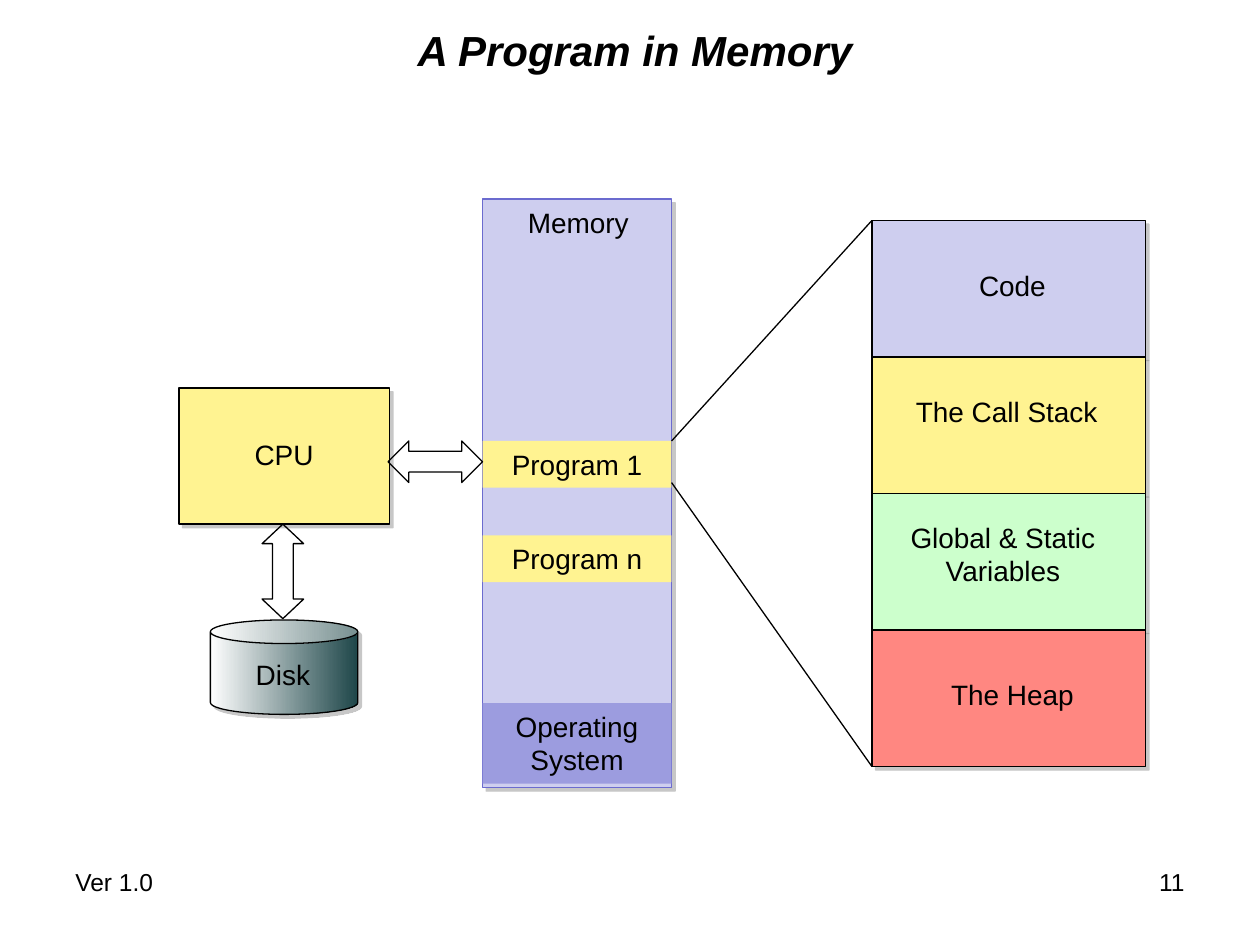
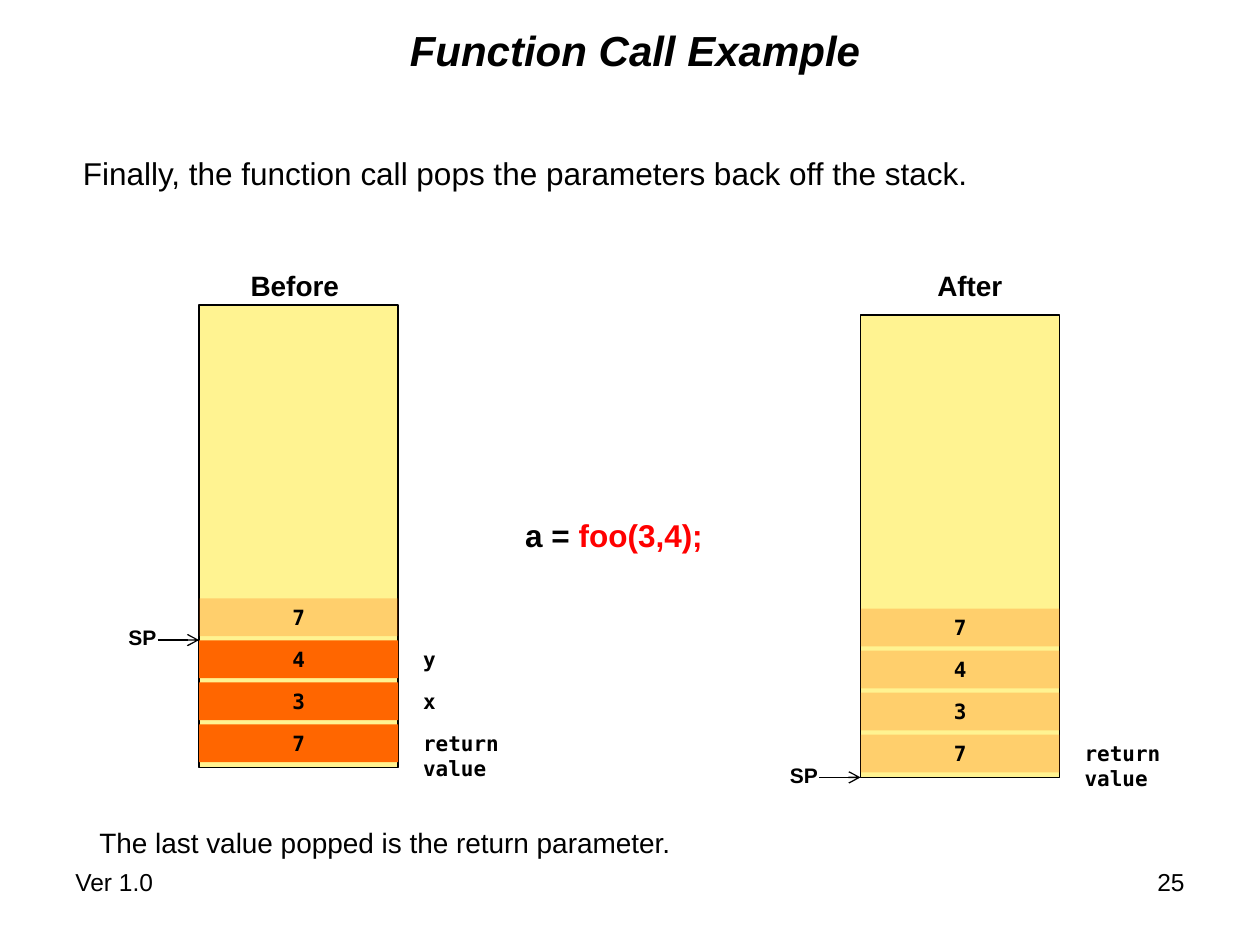
import pptx
import pptx.util
import pptx.dml.color
import pptx.enum.shapes
import pptx.enum.text
import pptx.oxml
import pptx.oxml.ns

Inches = pptx.util.Inches
Pt = pptx.util.Pt
RGBColor = pptx.dml.color.RGBColor
Kind = pptx.enum.shapes.MSO_SHAPE
Align = pptx.enum.text.PP_ALIGN
Anchor = pptx.enum.text.MSO_ANCHOR

BLACK = RGBColor(0x00, 0x00, 0x00)
WHITE = RGBColor(0xFF, 0xFF, 0xFF)
TEAL = RGBColor(0x1E, 0x46, 0x49)
LILAC = RGBColor(0xCE, 0xCE, 0xEF)
VIOLET = RGBColor(0x9C, 0x9C, 0xDF)
INDIGO = RGBColor(0x6B, 0x6B, 0xCF)
YELLOW = RGBColor(0xFF, 0xF3, 0x91)
GREEN = RGBColor(0xCC, 0xFF, 0xCC)
SALMON = RGBColor(0xFF, 0x87, 0x81)
ORANGE = RGBColor(0xFF, 0x66, 0x00)
RED = RGBColor(0xFF, 0x00, 0x00)

SANS = "Arial"
MONO = "DejaVu Sans Mono"
THIN = Pt(0.75)
STEP = 1 / 3


def put(parent, tag, **attrs):
    """Append an empty drawing element and return it."""
    node = pptx.oxml.ns.qn(tag)
    child = parent.makeelement(node, attrs)
    parent.append(child)
    return child


def write(frame, words, size=16, font=SANS, color=BLACK, bold=False,
          italic=False, align=Align.LEFT, more=False):
    """Fill a text frame, one paragraph a line; more adds to the last one."""
    for i, line in enumerate(words.split("\n")):
        if more or i == 0:
            para = frame.paragraphs[-1]
        else:
            para = frame.add_paragraph()
        para.alignment = align
        run = para.add_run()
        run.text = line
        run.font.size = Pt(size)
        run.font.name = font
        run.font.color.rgb = color
        run.font.bold = bold
        run.font.italic = italic


def label(shapes, x, y, w, h, words, wrap=False, anchor=Anchor.TOP, **style):
    frame = shapes.add_textbox(Inches(x), Inches(y), Inches(w), Inches(h)).text_frame
    frame.word_wrap = wrap
    frame.vertical_anchor = anchor
    write(frame, words, **style)
    return frame


def block(shapes, x, y, w, h, fill=None, line=None, kind=Kind.RECTANGLE,
          shade=False, alpha=None):
    shape = shapes.add_shape(kind, Inches(x), Inches(y), Inches(w), Inches(h))
    shape.shadow.inherit = False
    if fill is None:
        shape.fill.background()
    else:
        shape.fill.solid()
        shape.fill.fore_color.rgb = fill
    if alpha:
        tint = shape.fill._xPr.find(".//" + pptx.oxml.ns.qn("a:srgbClr"))
        put(tint, "a:alpha", val=str(alpha * 1000))
    if line is None:
        shape.line.fill.background()
    else:
        shape.line.color.rgb = line
        shape.line.width = THIN
    if shade:
        effects = shape._element.spPr.find(pptx.oxml.ns.qn("a:effectLst"))
        cast = put(effects, "a:outerShdw", dist=str(Pt(3)), dir="2700000",
                   algn="ctr", rotWithShape="0")
        put(put(cast, "a:srgbClr", val="808080"), "a:alpha", val="43000")
    return shape


def cell(shapes, x, y, w, h, words, fill, alpha=None, **style):
    """Borderless block with centred text at its top."""
    frame = block(shapes, x, y, w, h, fill, alpha=alpha).text_frame
    frame.word_wrap = True
    frame.vertical_anchor = Anchor.TOP
    write(frame, words, align=Align.CENTER, **style)


def link(shapes, x1, y1, x2, y2, arrow=False):
    line = shapes.add_connector(pptx.enum.shapes.MSO_CONNECTOR.STRAIGHT,
                                Inches(x1), Inches(y1), Inches(x2), Inches(y2))
    line.line.color.rgb = BLACK
    line.line.width = THIN
    if arrow:
        put(line.line._get_or_add_ln(), "a:tailEnd", type="arrow")
    put(line._element.spPr, "a:effectLst")


def page(deck, title, number):
    """Add a slide with the shared title and footer; return its shapes."""
    shapes = deck.slides.add_slide(deck.slide_layouts[6]).shapes
    label(shapes, 1, 0.17, 8.08, 0.45, title, wrap=True, anchor=Anchor.MIDDLE,
          size=24, bold=True, italic=True, align=Align.CENTER)
    label(shapes, 0.5, 6.83, 2.33, 0.52, "Ver 1.0", wrap=True, size=14)
    label(shapes, 7.17, 6.83, 2.33, 0.52, number, wrap=True, size=14,
          align=Align.RIGHT)
    return shapes


def machine(shapes):
    """CPU, disk and memory with the programs loaded in it."""
    mid = Align.CENTER
    block(shapes, 3.83, 1.58, 1.5, 4.67, LILAC, INDIGO, shade=True)
    label(shapes, 4.09, 1.58, 1.05, 0.37, "Memory")
    for y, h, words, fill in (
            (5.58, 0.64, "Operating System", VIOLET),
            (3.5, 0.37, "Program 1", YELLOW),
            (4.25, 0.37, "Program n", YELLOW)):
        cell(shapes, 3.83, y, 1.5, h, words, fill)

    block(shapes, 1.42, 3.08, 1.67, 1.08, YELLOW, BLACK, shade=True)
    label(shapes, 1.88, 3.42, 0.75, 0.37, "CPU", align=mid)
    disk = block(shapes, 1.67, 4.92, 1.17, 0.75, WHITE, BLACK, Kind.CAN, shade=True)
    disk.fill.gradient()
    disk.fill.gradient_angle = 0
    for stop, color in zip(disk.fill.gradient_stops, (WHITE, TEAL)):
        stop.color.rgb = color
    label(shapes, 1.89, 5.17, 0.71, 0.37, "Disk", align=mid)

    arrow = Kind.LEFT_RIGHT_ARROW
    block(shapes, 3.08, 3.5, 0.75, 0.33, line=BLACK, kind=arrow)
    bus = block(shapes, 1.87, 4.37, 0.75, 0.33, line=BLACK, kind=arrow)
    bus.rotation = 90
    bus.adjustments[1] = 0.47


def layout(shapes):
    """The four parts of one program, drawn out from memory."""
    left, top, high = 6.92, 1.75, 13 / 12
    parts = (
        ("Code", LILAC, 7.63, 2.08, 0.81, 0.37),
        ("The Call Stack", YELLOW, 7.09, 3.08, 1.8, 0.37),
        ("Global & Static\nVariables", GREEN, 7.06, 4.08, 1.8, 0.64),
        ("The Heap", SALMON, 7.39, 5.33, 1.29, 0.37))
    link(shapes, 5.33, 3.5, left, top)
    link(shapes, 5.33, 3.83, left, top + len(parts) * high)
    for i, (words, fill, x, y, w, h) in enumerate(parts):
        block(shapes, left, top + i * high, 2.17, high, fill, BLACK, shade=True)
        label(shapes, x, y, w, h, words, align=Align.CENTER)


def stack(shapes, x, y, used, point):
    """Stack of four values, the last `used` live, with SP at height point."""
    block(shapes, x, y, 1.58, 3.67, YELLOW, BLACK)
    values = "7437"
    for i, value in enumerate(values):
        alpha = 25 if i < len(values) - used else None
        cell(shapes, x, y + 2.33 + i * STEP, 1.58, 0.3, value, ORANGE,
             alpha, size=12, font=MONO, bold=True)
    names = ("return value", "x", "y")
    for i, name in enumerate(names[:max(used, 1)]):
        wide = len(name) > 1
        label(shapes, x + 1.68, y + 3.33 - i * STEP, 1.24 if wide else 0.32, 0.3,
              name, wrap=wide, size=12, font=MONO, bold=True)
    group = shapes.add_group_shape().shapes
    label(group, x - 0.66, point - 0.17, 0.45, 0.3, "SP", size=12, bold=True)
    link(group, x - 0.33, point, x, point, arrow=True)


def main():
    deck = pptx.Presentation()
    deck.slide_width = Inches(10)
    deck.slide_height = Inches(7.5)

    memory = page(deck, "A Program in Memory", "11")
    machine(memory)
    layout(memory)

    call = page(deck, "Function Call Example", "25")
    label(call, 0.56, 1.17, 7.4, 0.4, size=18,
          words="Finally, the function call pops the parameters back off the stack.")
    code = label(call, 4.07, 4.05, 1.75, 0.4, "a = ", size=18, bold=True)
    write(code, "foo(3,4);", size=18, bold=True, color=RED, more=True)
    stack(call, 1.58, 2.42, used=3, point=5.08)
    stack(call, 6.83, 2.5, used=0, point=6.17)
    label(call, 1.89, 2.08, 1.05, 0.37, "Before", bold=True)
    label(call, 7.34, 2.08, 0.85, 0.37, "After", bold=True)
    label(call, 0.69, 6.5, 4.9, 0.37,
          "The last value popped is the return parameter.")
    deck.save("out.pptx")


if __name__ == "__main__":
    main()
